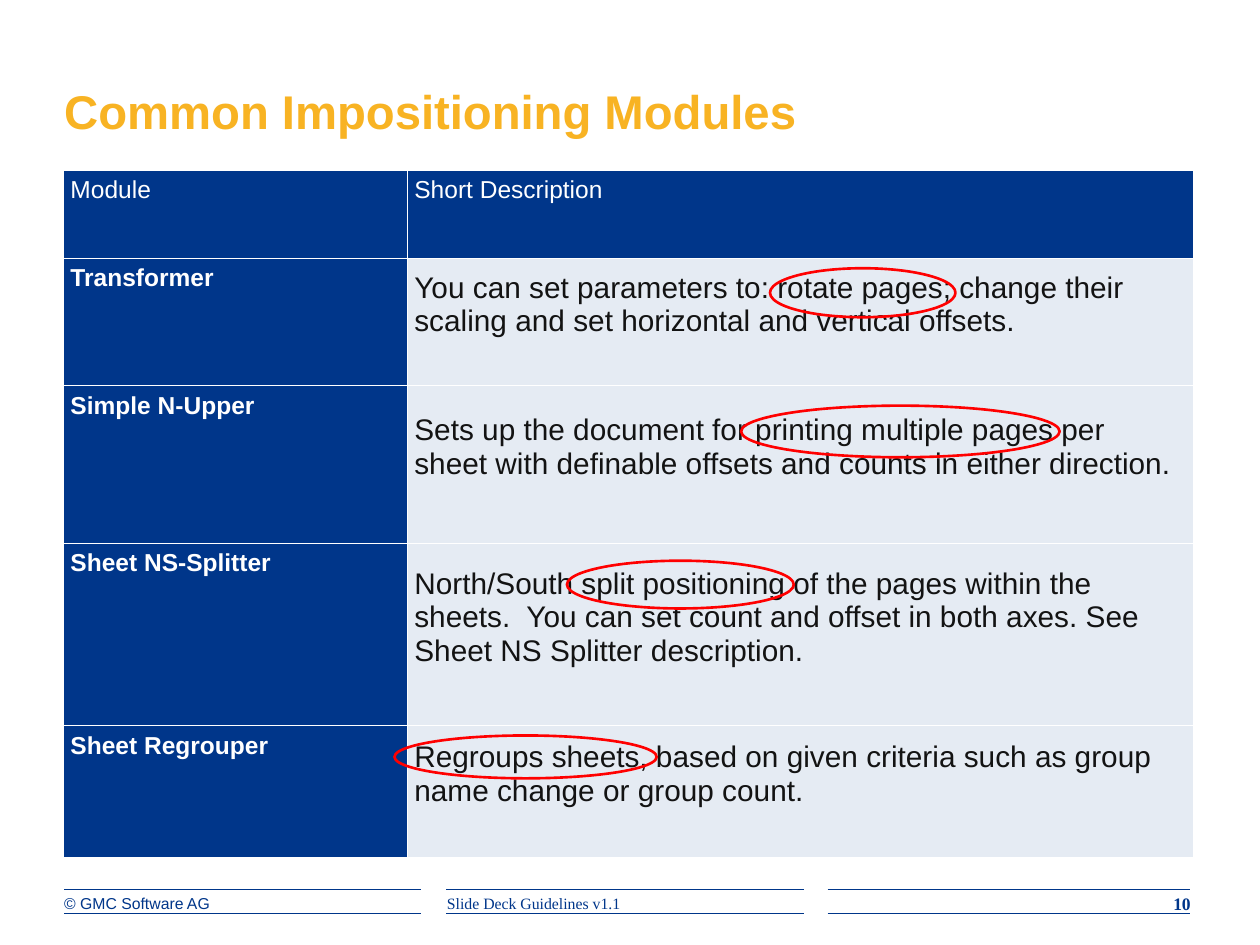
from typing import NamedTuple

from lxml import etree
from pptx import Presentation
from pptx.dml.color import RGBColor
from pptx.enum import shapes, text
from pptx.oxml import ns
from pptx.util import Pt

NAVY = RGBColor(0x00, 0x36, 0x8A)
GOLD = RGBColor(0xF8, 0xB3, 0x23)
PALE = RGBColor(0xE5, 0xEB, 0xF3)
INK = RGBColor(0x13, 0x13, 0x13)
WHITE = RGBColor(0xFF, 0xFF, 0xFF)
RED = RGBColor(0xFF, 0x00, 0x00)
SANS, SERIF = "Arial", "Times New Roman"
LEFT, TOP = text.PP_ALIGN.LEFT, text.MSO_ANCHOR.TOP


class Area(NamedTuple):
    left: float
    top: float
    width: float
    height: float


class Style(NamedTuple):
    size: float
    color: RGBColor
    font: str = SANS
    bold: bool = False
    align: text.PP_ALIGN = LEFT
    anchor: text.MSO_ANCHOR = TOP


class Module(NamedTuple):
    name: str
    description: str
    height: float


class Footer(NamedTuple):
    wording: str
    area: Area
    style: Style


MODULES = [
    Module("Transformer", "You can set parameters to: rotate pages; change their "
           "scaling and set horizontal and vertical offsets.", 72.7),
    Module("Simple N-Upper", "Sets up the document for printing multiple pages per "
           "sheet with definable offsets and counts in either direction.", 90),
    Module("Sheet NS-Splitter", "North/South split positioning of the pages within the "
           "sheets.  You can set count and offset in both axes. "
           "See Sheet NS Splitter description.", 104.4),
    Module("Sheet Regrouper", "Regroups sheets, based on given criteria such as group "
           "name change or group count.", 75),
]
HEADER_HEIGHT = 50.4
COLUMN_WIDTHS = (196.5, 449.3)
LINE_HEIGHT = 19.5

HIGHLIGHTS = [
    Area(440, 153.3, 106, 28),
    Area(423.5, 231.8, 182, 29.5),
    Area(324, 320.4, 129.6, 27.3),
    Area(225.4, 420.3, 149.8, 24.5),
]

FOOTER_SPANS = [(36.7, 240.5), (255, 459.2), (473, 680)]
FOOTER_RULES = (508.2, 522)
FOOTERS = [
    Footer("© GMC Software AG", Area(36.7, 510.5, 202.3, 14.4), Style(9, NAVY)),
    Footer("Slide Deck Guidelines v1.1", Area(255.4, 510.5, 203, 15.8),
           Style(9, NAVY, SERIF)),
    Footer("10", Area(623.5, 510.5, 56.9, 14.4),
           Style(10, NAVY, SERIF, True, text.PP_ALIGN.RIGHT)),
]


def place(shape, area: Area) -> None:
    shape.left, shape.top, shape.width, shape.height = map(Pt, area)


def write(frame, wording: str, style: Style) -> None:
    frame.text = wording
    para = frame.paragraphs[0]
    para.alignment = style.align
    for span in para.runs:
        span.font.name = style.font
        span.font.size = Pt(style.size)
        span.font.bold = style.bold
        span.font.color.rgb = style.color


def fill_frame(shape, wording: str, style: Style) -> None:
    frame = shape.text_frame
    frame.auto_size = text.MSO_AUTO_SIZE.NONE
    frame.word_wrap = True
    frame.margin_left = frame.margin_right = frame.margin_top = frame.margin_bottom = 0
    frame.vertical_anchor = style.anchor
    write(frame, wording, style)


def add_borders(cell, color: RGBColor, width: float) -> None:
    properties = cell._tc.get_or_add_tcPr()
    for index, side in enumerate(("lnL", "lnR", "lnT", "lnB")):
        line = etree.Element(ns.qn(f"a:{side}"), w=str(int(Pt(width))))
        fill = etree.SubElement(line, ns.qn("a:solidFill"))
        etree.SubElement(fill, ns.qn("a:srgbClr"), val=str(color))
        properties.insert(index, line)


def fill_cell(cell, wording: str, style: Style, fill: RGBColor) -> None:
    cell.margin_left = cell.margin_right = Pt(4.3)
    cell.margin_top = cell.margin_bottom = Pt(3.6)
    cell.vertical_anchor = style.anchor
    cell.fill.solid()
    cell.fill.fore_color.rgb = fill
    write(cell.text_frame, wording, style)
    add_borders(cell, WHITE, 0.45)


def add_module_table(page) -> None:
    heights = [HEADER_HEIGHT, *(module.height for module in MODULES)]
    area = Area(36, 97.2, sum(COLUMN_WIDTHS), sum(heights))
    table = page.shapes.add_table(len(heights), 2, *map(Pt, area)).table
    for column, width in zip(table.columns, COLUMN_WIDTHS):
        column.width = Pt(width)
    for row, height in zip(table.rows, heights):
        row.height = Pt(height)

    for index, heading in enumerate(("Module", "Short Description")):
        fill_cell(table.cell(0, index), heading, Style(14, WHITE), NAVY)
    body = Style(17, INK, anchor=text.MSO_ANCHOR.MIDDLE)
    for index, module in enumerate(MODULES, start=1):
        fill_cell(table.cell(index, 0), module.name, Style(14, WHITE, bold=True), NAVY)
        description = table.cell(index, 1)
        fill_cell(description, module.description, body, PALE)
        description.margin_bottom = Pt(3.6 + LINE_HEIGHT)


def add_highlight(page, area: Area) -> None:
    ellipse = page.shapes.add_shape(shapes.MSO_SHAPE.OVAL, *map(Pt, area))
    ellipse.shadow.inherit = False
    ellipse.fill.background()
    ellipse.line.color.rgb = RED
    ellipse.line.width = Pt(1.5)


def add_rule(page, start: float, end: float, height: float) -> None:
    rule = page.shapes.add_connector(
        shapes.MSO_CONNECTOR.STRAIGHT, Pt(start), Pt(height), Pt(end), Pt(height))
    rule.line.color.rgb = NAVY
    rule.line.width = Pt(0.5)
    etree.SubElement(rule._element.spPr, ns.qn("a:effectLst"))


def main() -> None:
    deck = Presentation()
    deck.slide_width, deck.slide_height = Pt(720), Pt(540)
    page = deck.slides.add_slide(deck.slide_layouts.get_by_name("Title Only"))

    for start, end in FOOTER_SPANS:
        for height in FOOTER_RULES:
            add_rule(page, start, end, height)

    title = page.shapes.title
    place(title, Area(36.7, 30.2, 491, 49))
    fill_frame(title, "Common Impositioning Modules",
               Style(27, GOLD, bold=True, anchor=text.MSO_ANCHOR.BOTTOM))

    add_module_table(page)
    for area in HIGHLIGHTS:
        add_highlight(page, area)
    for footer in FOOTERS:
        box = page.shapes.add_textbox(*map(Pt, footer.area))
        fill_frame(box, footer.wording, footer.style)

    deck.save("out.pptx")


if __name__ == "__main__":
    main()
